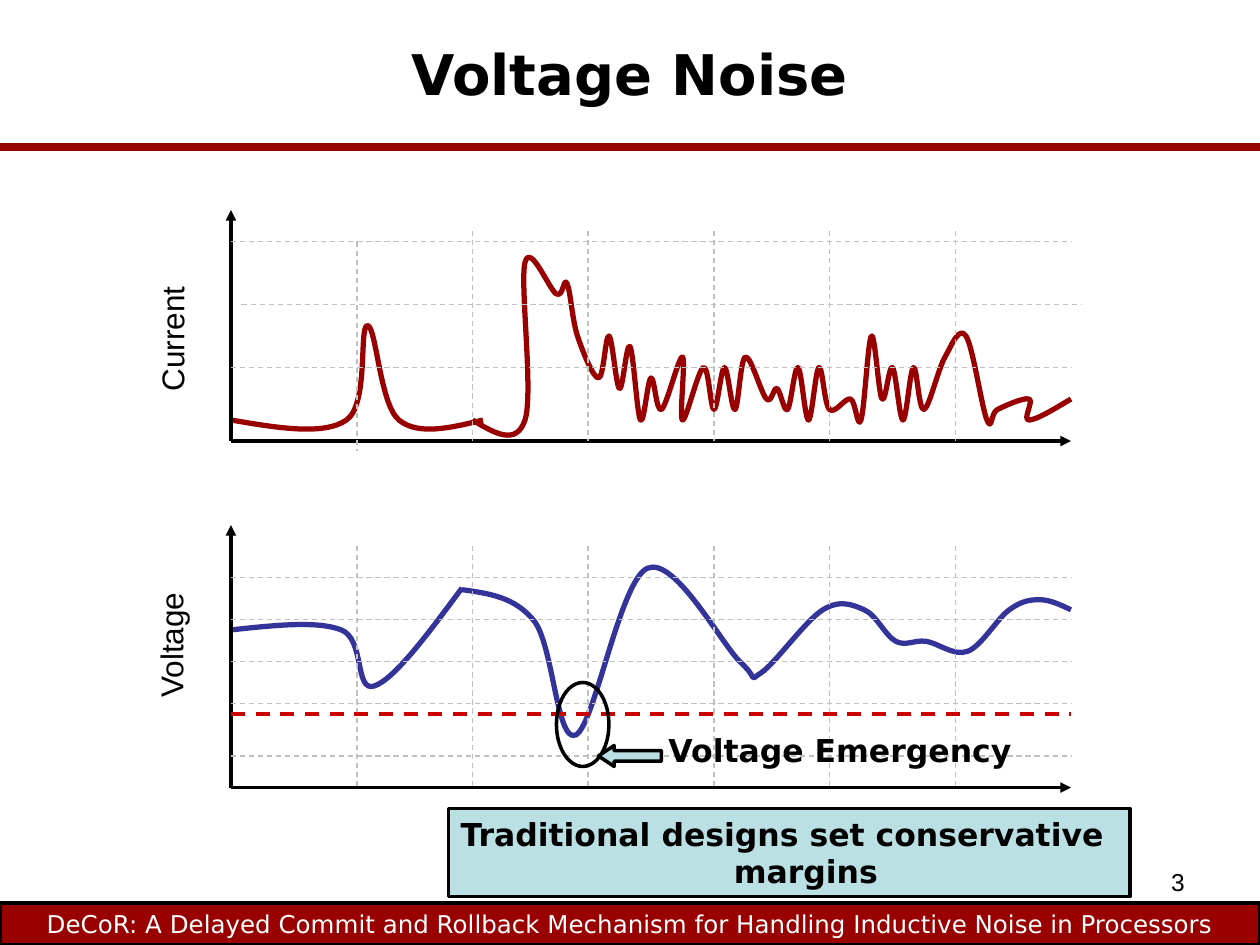
from lxml import etree
from pptx import Presentation
from pptx.dml.color import RGBColor
from pptx.enum.dml import MSO_LINE
from pptx.enum.shapes import MSO_CONNECTOR, MSO_SHAPE
from pptx.enum.text import MSO_ANCHOR, MSO_AUTO_SIZE, PP_ALIGN
from pptx.oxml.ns import qn
from pptx.util import Pt

STRAIGHT = MSO_CONNECTOR.STRAIGHT
DASH = MSO_LINE.DASH
RECT, OVAL, LEFT_ARROW = MSO_SHAPE.RECTANGLE, MSO_SHAPE.OVAL, MSO_SHAPE.LEFT_ARROW
TOP, MIDDLE = MSO_ANCHOR.TOP, MSO_ANCHOR.MIDDLE
CENTER, RIGHT = PP_ALIGN.CENTER, PP_ALIGN.RIGHT
GROW = MSO_AUTO_SIZE.SHAPE_TO_FIT_TEXT

BLACK = RGBColor(0x00, 0x00, 0x00)
WHITE = RGBColor(0xFF, 0xFF, 0xFF)
MAROON = RGBColor(0x99, 0x00, 0x00)
INDIGO = RGBColor(0x33, 0x33, 0x99)
RED = RGBColor(0xCC, 0x00, 0x00)
GRAY = RGBColor(0xC0, 0xC0, 0xC0)
PALE_BLUE = RGBColor(0xBB, 0xE0, 0xE3)
SANS, ARIAL = "DejaVu Sans", "Arial"

# Time axis shared by both graphs
AXIS_LEFT, AXIS_RIGHT = 132, 612
TIME_MARKS = (204, 270, 336, 408, 474, 546)

# Points each trace passes through
CURRENT_SPIKE = [(132, 240), (198, 240), (210, 186), (228, 240), (276, 240)]
CURRENT_BURST = [
    (270, 240), (300, 240), (300, 150), (318, 168), (324, 162), (330, 192),
    (342, 216), (348, 192), (354, 222), (360, 198), (366, 240), (372, 216),
    (378, 234), (390, 204), (390, 240), (402, 210), (408, 234), (414, 210),
    (420, 234), (426, 204), (438, 228), (444, 222), (450, 234), (456, 210),
    (462, 240), (468, 210), (474, 234), (486, 228), (492, 240), (498, 192),
    (504, 228), (510, 210), (516, 240), (522, 210), (528, 234), (540, 204),
    (552, 192), (564, 240), (570, 234), (588, 228), (588, 240), (612, 228),
]
VOLTAGE_DIP = [(132, 360), (195, 360), (214, 392), (264, 336)]
VOLTAGE_SWING = [
    (264, 337), (305.3, 355), (329, 420), (370, 324.7), (423.4, 378.7),
    (434.9, 384.5), (470.2, 348.5), (493.9, 348.5), (511.9, 366.5),
    (529.2, 366.5), (553, 372.2), (576.7, 348.5), (594, 342.7), (612, 348.5),
]


def add_line(slide, start, end, color, width, dash=None, arrow_end=None):
    line = slide.shapes.add_connector(STRAIGHT, *map(Pt, start + end))
    line.line.color.rgb = color
    line.line.width = Pt(width)
    if dash:
        line.line.dash_style = dash
    properties = line._element.spPr
    if arrow_end:
        outline = properties.find(qn("a:ln"))
        etree.SubElement(outline, qn(arrow_end), type="triangle")
    etree.SubElement(properties, qn("a:effectLst"))


def control_points(knots):
    """Yield the two Bezier controls of each span of a smooth curve."""
    last = len(knots) - 1
    tangents = [
        tuple((after - before) / 6 for before, after in zip(knots[i - 1], knots[i + 1]))
        if 0 < i < last else None
        for i in range(last + 1)
    ]
    for i in range(last):
        (x0, y0), (x1, y1) = knots[i], knots[i + 1]
        leave, arrive = tangents[i], tangents[i + 1]
        out_point = (x0 + leave[0], y0 + leave[1]) if leave else None
        in_point = (x1 - arrive[0], y1 - arrive[1]) if arrive else None
        # End spans aim halfway to the control at their other side
        if out_point is None:
            out_point = ((x0 + in_point[0]) / 2, (y0 + in_point[1]) / 2)
        if in_point is None:
            in_point = ((x1 + out_point[0]) / 2, (y1 + out_point[1]) / 2)
        yield out_point, in_point


def add_trace(slide, knots, color):
    knots = [(Pt(x), Pt(y)) for x, y in knots]
    builder = slide.shapes.build_freeform(*knots[0])
    builder.add_line_segments(knots[1:], close=False)
    trace = builder.convert_to_shape()
    trace.shadow.inherit = False
    trace.fill.background()
    trace.line.color.rgb = color
    trace.line.width = Pt(3)
    # Turn the straight spans into curves
    left, top = min(x for x, _ in knots), min(y for _, y in knots)
    spans = list(trace._element.iter(qn("a:lnTo")))
    for span, controls in zip(spans, control_points(knots)):
        span.tag = qn("a:cubicBezTo")
        for index, (x, y) in enumerate(controls):
            point = etree.Element(qn("a:pt"), x=str(round(x - left)), y=str(round(y - top)))
            span.insert(index, point)


def add_block(slide, kind, box, fill=None):
    block = slide.shapes.add_shape(kind, *map(Pt, box))
    block.shadow.inherit = False
    if fill:
        block.fill.solid()
        block.fill.fore_color.rgb = fill
    else:
        block.fill.background()
    block.line.color.rgb = BLACK
    block.line.width = Pt(2)
    return block


def write(shape, text, size, font=SANS, color=BLACK, bold=False, align=CENTER,
          anchor=TOP, hanging=0):
    frame = shape.text_frame
    frame.word_wrap = True
    frame.vertical_anchor = anchor
    paragraph = frame.paragraphs[0]
    paragraph.alignment = align
    if hanging:
        properties = paragraph._p.get_or_add_pPr()
        properties.set("marL", str(Pt(hanging)))
        properties.set("indent", str(-Pt(hanging)))
    run = paragraph.add_run()
    run.text = text
    run.font.size = Pt(size)
    run.font.name = font
    run.font.bold = bold
    run.font.color.rgb = color


def add_text(slide, box, text, size, **style):
    label = slide.shapes.add_textbox(*map(Pt, box))
    write(label, text, size, **style)
    return label


def add_axis_label(slide, box, text):
    label = add_text(slide, box, text, 18, font=ARIAL)
    label.text_frame.word_wrap = False
    label.text_frame.auto_size = GROW
    label.rotation = 270


def add_axes(slide, top, bottom):
    add_line(slide, (AXIS_LEFT, top), (AXIS_LEFT, bottom), BLACK, 2, arrow_end="a:headEnd")
    add_line(slide, (AXIS_LEFT, bottom), (AXIS_RIGHT, bottom), BLACK, 2, arrow_end="a:tailEnd")


def add_grid(slide, columns, rows):
    for x, top, bottom in columns:
        add_line(slide, (x, top), (x, bottom), GRAY, 0.75, DASH)
    for y, shift in rows:
        add_line(slide, (AXIS_LEFT + shift, y), (AXIS_RIGHT + shift, y), GRAY, 0.75, DASH)


def main():
    deck = Presentation()
    deck.slide_width, deck.slide_height = Pt(720), Pt(540)
    slide = deck.slides.add_slide(deck.slide_layouts[6])

    # Heading and page number
    add_line(slide, (0, 84), (720, 84), MAROON, 5)
    add_text(slide, (516, 492, 168, 37.5), "3", 14, font=ARIAL, align=RIGHT)
    add_text(slide, (0, 0, 720, 84), "Voltage Noise", 32, bold=True, anchor=MIDDLE)

    # Traces lie beneath the grids
    for knots, color in ((CURRENT_SPIKE, MAROON), (CURRENT_BURST, MAROON),
                         (VOLTAGE_DIP, INDIGO), (VOLTAGE_SWING, INDIGO)):
        add_trace(slide, knots, color)

    # Current graph
    add_axes(slide, 120, 252)
    columns = [(TIME_MARKS[0], 138, 258)] + [(x, 132, 252) for x in TIME_MARKS[1:]]
    add_grid(slide, columns, [(210, 0), (174, 6), (138, 0)])

    # Voltage graph with its safety margin
    add_axes(slide, 300, 450)
    add_grid(slide, [(x, 312, 450) for x in TIME_MARKS],
             [(y, 0) for y in (402, 378, 354, 330, 432)])
    add_line(slide, (AXIS_LEFT, 408), (AXIS_RIGHT, 408), RED, 2, DASH)

    # Emergency callout
    add_text(slide, (324, 414, 312, 36), "Voltage Emergency", 18, bold=True, hanging=27)
    add_block(slide, OVAL, (318, 390, 30, 48))
    pointer = add_block(slide, LEFT_ARROW, (342, 426, 36, 12), PALE_BLUE)
    pointer.adjustments[1] = 0.75

    # Axis labels
    add_axis_label(slide, (59.8, 354.2, 75.6, 28.8), "Voltage")
    add_axis_label(slide, (61.2, 179.3, 74.2, 28.8), "Current")

    # Conclusion
    add_block(slide, RECT, (256.3, 462, 389.5, 50.4), PALE_BLUE)
    add_text(slide, (228, 462, 438, 54), "Traditional designs set conservative margins",
             18, bold=True, hanging=27)

    # Footer
    footer = add_block(slide, RECT, (0, 516, 720, 24), MAROON)
    write(footer, "DeCoR: A Delayed Commit and Rollback Mechanism for Handling "
          "Inductive Noise in Processors", 14, color=WHITE)

    deck.save("out.pptx")


if __name__ == "__main__":
    main()
